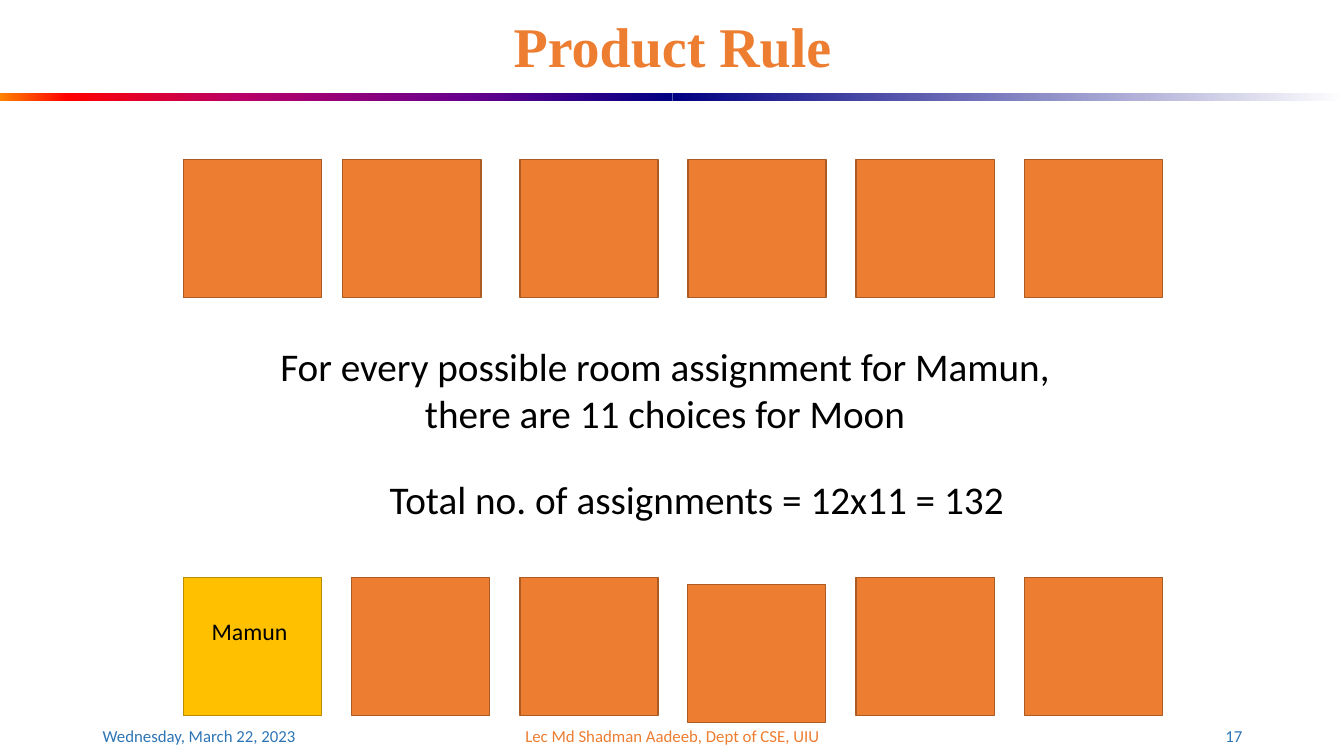
from lxml import etree
from pptx import Presentation
from pptx import util as u
from pptx.dml.color import RGBColor
from pptx.enum import shapes, text
from pptx.oxml.ns import qn

ORANGE, AMBER, BLUE, BLACK = "ED7D31", "FFC000", "2E75B5", "000000"
LEFT, CENTER, RIGHT = text.PP_ALIGN.LEFT, text.PP_ALIGN.CENTER, text.PP_ALIGN.RIGHT
TOP, MIDDLE = text.MSO_ANCHOR.TOP, text.MSO_ANCHOR.MIDDLE

deck = Presentation()
deck.slide_width, deck.slide_height = u.Inches(13.33), u.Inches(7.5)
page = deck.slides.add_slide(deck.slide_layouts[6])


def color(value):
    return RGBColor.from_string(value)


def add_text(place, lines, align, anchor, spacing=1.0, **font):
    box = page.shapes.add_textbox(*map(u.Inches, place))
    frame = box.text_frame
    frame.word_wrap = True
    frame.vertical_anchor = anchor
    style = {"name": "Calibri", "bold": False} | font
    ink = style.pop("ink")
    style["size"] = u.Pt(style["size"])
    for number, line in enumerate(lines):
        para = frame.add_paragraph() if number else frame.paragraphs[0]
        para.alignment = align
        para.line_spacing = spacing
        span = para.add_run()
        span.text = line
        span.font.color.rgb = color(ink)
        for name, value in style.items():
            setattr(span.font, name, value)


# Gradient rule under the title
rule_halves = [
    (0, [(0, "FF8200"), (10, "FF0000"), (35, "BA0066"), (70, "66008F"), (100, "000082")]),
    (6.67, [(0, "000082"), (100, "FFFFFF")]),
]
for left, stops in rule_halves:
    bar = page.shapes.add_shape(shapes.MSO_SHAPE.RECTANGLE, u.Inches(left), u.Inches(0.92),
                                u.Inches(6.67), u.Inches(0.08))
    bar.shadow.inherit = False
    bar.line.fill.background()
    bar.fill.gradient()
    bar.fill.gradient_angle = 0
    stop_list = bar._element.spPr.find(".//" + qn("a:gsLst"))
    for old_stop in list(stop_list):
        stop_list.remove(old_stop)
    for percent, value in stops:
        stop = etree.SubElement(stop_list, qn("a:gs"), pos=str(percent * 1000))
        etree.SubElement(stop, qn("a:srgbClr"), val=value)

# Footer and title
footer = {"size": 12, "anchor": MIDDLE}
add_text((0.92, 7.1, 3, 0.4), ["Wednesday, March 22, 2023"], LEFT, ink=BLUE, **footer)
add_text((4.42, 7.1, 4.5, 0.4), ["Lec Md Shadman Aadeeb, Dept of CSE, UIU"], CENTER,
         ink=ORANGE, **footer)
add_text((9.42, 7.1, 3, 0.4), ["17"], RIGHT, ink=BLUE, **footer)
add_text((0.92, 0.16, 11.5, 0.66), ["Product Rule"], CENTER, MIDDLE, spacing=0.9,
         size=40, name="Times New Roman", bold=True, ink=ORANGE)

# Twelve rooms in two rows, two of them slightly off the grid
off_grid = {(0, 1): (3.4, 1.58), (1, 3): (6.82, 5.8)}
for row, row_top in enumerate((1.58, 5.73)):
    for column in range(6):
        left, top = off_grid.get((row, column), (1.82 + 1.668 * column, row_top))
        taken = (row, column) == (1, 0)
        room = page.shapes.add_shape(shapes.MSO_SHAPE.RECTANGLE, u.Inches(left), u.Inches(top),
                                     u.Inches(1.37), u.Inches(1.37))
        room.shadow.inherit = False
        room.fill.solid()
        room.fill.fore_color.rgb = color(AMBER if taken else ORANGE)
        room.line.color.rgb = color("BA8C00" if taken else "AC5B23")
        room.line.width = u.Pt(1)

# Room label and explanation
add_text((2, 6.07, 1, 0.39), ["Mamun"], LEFT, TOP, size=17, ink=BLACK)
add_text((2.25, 3.35, 8.69, 1.04),
         ["For every possible room assignment for Mamun,", "there are 11 choices for Moon"],
         CENTER, TOP, size=28, ink=BLACK)
add_text((3.63, 4.67, 6.56, 0.57), ["Total no. of assignments = 12x11 = 132"],
         CENTER, TOP, size=28, ink=BLACK)

deck.save("out.pptx")
